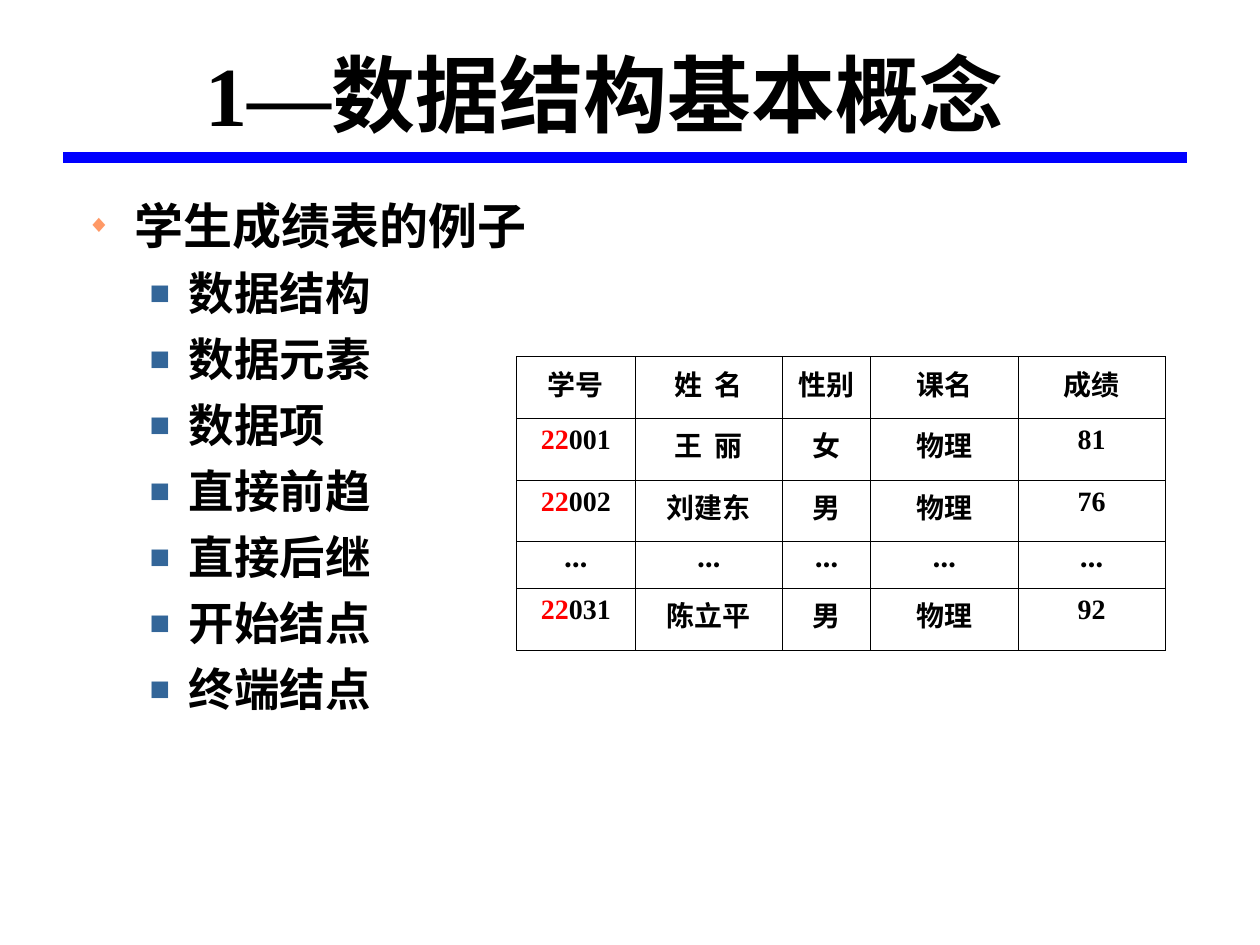
import lxml.etree
import pptx
import pptx.dml.color
import pptx.enum.shapes
import pptx.enum.text
import pptx.oxml.ns
import pptx.util

TITLE = "1—数据结构基本概念"
TOPIC = "学生成绩表的例子"
TERMS = ["数据结构", "数据元素", "数据项", "直接前趋", "直接后继", "开始结点", "终端结点"]
CLASS_PREFIX = "22"
SCORES = [
    ("学号", "姓  名", "性别", "课名", "成绩"),
    ("22001", "王  丽", "女", "物理", "81"),
    ("22002", "刘建东", "男", "物理", "76"),
    ("…",) * 5,
    ("22031", "陈立平", "男", "物理", "92"),
]
COL_WIDTHS = [0.94, 1.17, 0.7, 1.17, 1.17]
ROW_HEIGHT, DOTS_HEIGHT = 0.49, 0.37

THEME = {
    "text": "000000", "prefix": "FF0000", "rule": "0000FF", "grid": "000000",
    "serif": "Times New Roman", "sans": "Arial", "dots": "League Spartan",
    "title": 48, "topic": 28, "term": 26, "cell": 16,
    "rule_width": 6, "grid_width": 0.45,
}
# Per outline level: symbol, colour, size in percent, left margin, hanging indent, space before
BULLETS = [("◆", "FF9966", 50, 0.38, 0.38, 7), ("■", "336699", 75, 0.81, 0.31, 6.5)]

Inches, Pt = pptx.util.Inches, pptx.util.Pt
CENTER = pptx.enum.text.PP_ALIGN.CENTER
W, H = 10, 7.5


def rgb(value):
    return pptx.dml.color.RGBColor.from_string(value)


def add_xml(parent, tag, **attrs):
    node = lxml.etree.SubElement(parent, pptx.oxml.ns.qn(tag))
    for name, value in attrs.items():
        node.set(name, str(value))
    return node


def write(p, text, size, font=THEME["serif"], color=THEME["text"], align=None):
    """Append one bold run to a paragraph."""
    r = p.add_run()
    r.text = text
    r.font.size, r.font.name, r.font.bold = Pt(size), font, True
    r.font.color.rgb = rgb(color)
    if align is not None:
        p.alignment = align


def add_text_frame(slide, x, y, w, h):
    tf = slide.shapes.add_textbox(Inches(x), Inches(y), Inches(w), Inches(h)).text_frame
    tf.word_wrap = True
    return tf


def set_bullet(p, level):
    symbol, color, percent, margin, hang, before = BULLETS[level]
    p.level = level
    p.space_before = Pt(before)
    pPr = p._p.get_or_add_pPr()
    pPr.set("marL", str(Inches(margin)))
    pPr.set("indent", str(-Inches(hang)))
    add_xml(add_xml(pPr, "a:buClr"), "a:srgbClr", val=color)
    add_xml(pPr, "a:buSzPct", val=percent * 1000)
    add_xml(pPr, "a:buFont", typeface=THEME["sans"])
    add_xml(pPr, "a:buChar", char=symbol)


def set_borders(cell):
    tcPr = cell._tc.get_or_add_tcPr()
    for side in ("L", "R", "T", "B"):
        ln = add_xml(tcPr, f"a:ln{side}", w=Pt(THEME["grid_width"]))
        add_xml(add_xml(ln, "a:solidFill"), "a:srgbClr", val=THEME["grid"])


def add_rule(slide):
    y = Inches(H / 6)
    line = slide.shapes.add_connector(
        pptx.enum.shapes.MSO_CONNECTOR.STRAIGHT, Inches(0.5), y, Inches(9.42), y)
    line.line.color.rgb = rgb(THEME["rule"])
    line.line.width = Pt(THEME["rule_width"])
    add_xml(line._element.spPr, "a:effectLst")


def add_outline(slide):
    tf = add_text_frame(slide, 0.59, H / 5, 9, 5.56)
    items = [(TOPIC, 0, THEME["topic"])] + [(term, 1, THEME["term"]) for term in TERMS]
    for i, (text, level, size) in enumerate(items):
        p = tf.add_paragraph() if i else tf.paragraphs[0]
        set_bullet(p, level)
        write(p, text, size, font=THEME["sans"])


def add_scores(slide):
    heights = [DOTS_HEIGHT if row[0] == "…" else ROW_HEIGHT for row in SCORES]
    table = slide.shapes.add_table(
        len(SCORES), len(COL_WIDTHS), Inches(4.1), Inches(2.83),
        Inches(sum(COL_WIDTHS)), Inches(sum(heights))).table
    table.first_row = table.horz_banding = False
    for col, width in zip(table.columns, COL_WIDTHS):
        col.width = Inches(width)
    for i, row in enumerate(SCORES):
        table.rows[i].height = Inches(heights[i])
        for j, text in enumerate(row):
            cell = table.cell(i, j)
            set_borders(cell)
            cell.fill.background()
            p = cell.text_frame.paragraphs[0]
            if text.startswith(CLASS_PREFIX):
                write(p, CLASS_PREFIX, THEME["cell"], color=THEME["prefix"])
                text = text.removeprefix(CLASS_PREFIX)
            font = THEME["dots"] if text == "…" else THEME["serif"]
            write(p, text, THEME["cell"], font=font, align=CENTER)


def main():
    prs = pptx.Presentation()
    prs.slide_width, prs.slide_height = Inches(W), Inches(H)
    slide = prs.slides.add_slide(prs.slide_layouts[6])
    add_rule(slide)
    tf = add_text_frame(slide, 1.17, 0.42, 7.25, 0.83)
    tf.vertical_anchor = pptx.enum.text.MSO_ANCHOR.MIDDLE
    tf.paragraphs[0].line_spacing = 0.7
    write(tf.paragraphs[0], TITLE, THEME["title"], align=CENTER)
    add_outline(slide)
    add_scores(slide)
    prs.save("out.pptx")


if __name__ == "__main__":
    main()
